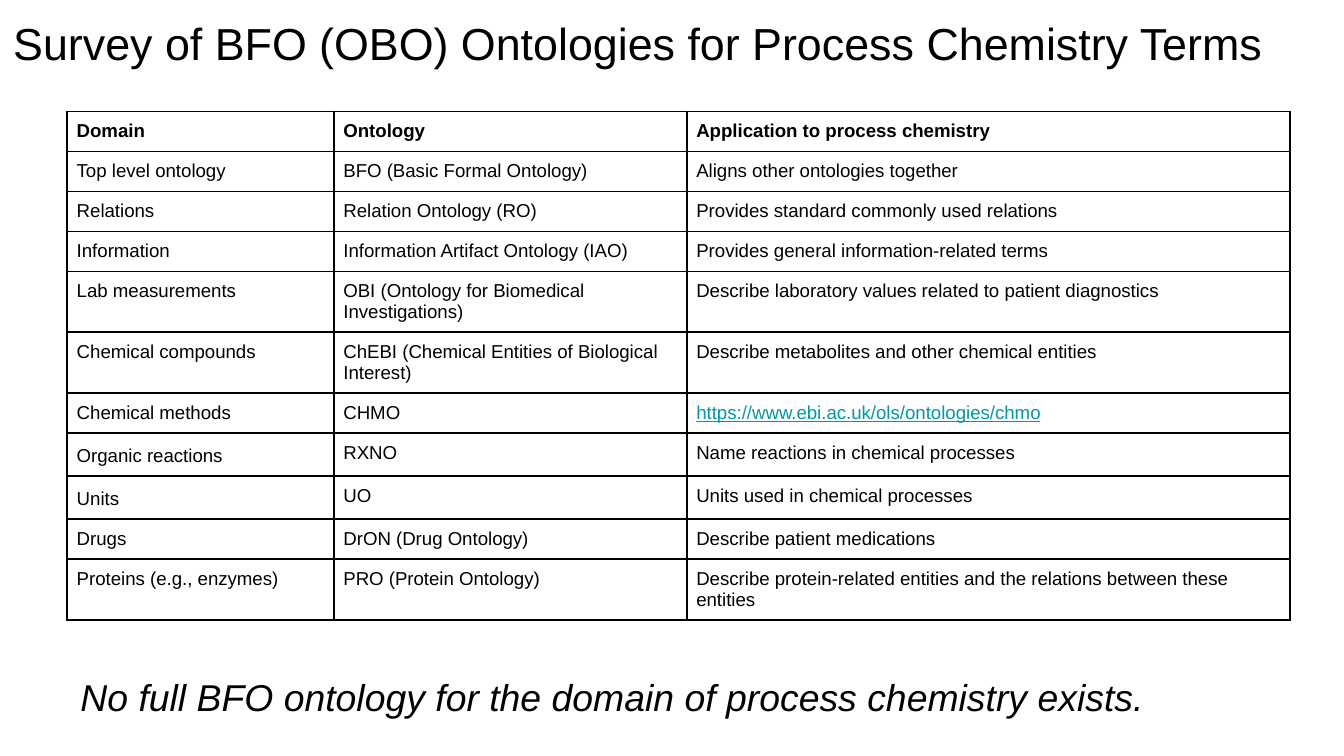
from lxml import etree
from pptx import Presentation
from pptx import util as u
from pptx.dml import color
from pptx.enum import text
from pptx.oxml import ns

COLORS = {"ink": "000000", "paper": "FFFFFF", "link": "0097A7"}
FONT = "Arial"
COLUMN_WIDTHS = (5.04, 6.67, 11.4)
LINE_HEIGHT, LOOSE_HEIGHT, WRAPPED_HEIGHT = 0.75, 0.8, 1.14
HEADER = ("Domain", "Ontology", "Application to process chemistry")
ONTOLOGIES = [
    ("Top level ontology", "BFO (Basic Formal Ontology)", "Aligns other ontologies together"),
    ("Relations", "Relation Ontology (RO)", "Provides standard commonly used relations"),
    ("Information", "Information Artifact Ontology (IAO)", "Provides general information-related terms"),
    ("Lab measurements", "OBI (Ontology for Biomedical Investigations)",
     "Describe laboratory values related to patient diagnostics"),
    ("Chemical compounds", "ChEBI (Chemical Entities of Biological Interest)",
     "Describe metabolites and other chemical entities"),
    ("Chemical methods", "CHMO", "https://www.ebi.ac.uk/ols/ontologies/chmo"),
    ("Organic reactions", "RXNO", "Name reactions in chemical processes"),
    ("Units", "UO", "Units used in chemical processes"),
    ("Drugs", "DrON (Drug Ontology)", "Describe patient medications"),
    ("Proteins (e.g., enzymes)", "PRO (Protein Ontology)",
     "Describe protein-related entities and the relations between these entities"),
]
LOOSE = {"Organic reactions", "Units"}
WRAPPED = {"Lab measurements", "Chemical compounds", "Proteins (e.g., enzymes)"}


def write(frame, words, size=10, ink="ink", bold=False, italic=False, underline=False, spacing=None):
    para = frame.paragraphs[0]
    para.alignment = text.PP_ALIGN.LEFT
    para.line_spacing = spacing
    span = para.add_run()
    span.text = words
    font = span.font
    font.name, font.size = FONT, u.Pt(size)
    font.bold, font.italic, font.underline = bold, italic, underline
    font.color.rgb = color.RGBColor.from_string(COLORS[ink])


def set_frame(frame, anchor):
    frame.word_wrap = True
    frame.auto_size = text.MSO_AUTO_SIZE.NONE
    frame.vertical_anchor = anchor
    frame.margin_left = frame.margin_right = u.Cm(0.25)
    frame.margin_top = frame.margin_bottom = u.Cm(0.25)


def style_cell(cell):
    properties = cell._tc.get_or_add_tcPr()
    for side in ("lnL", "lnR", "lnT", "lnB"):
        border = etree.SubElement(properties, ns.qn("a:" + side), w=str(u.Pt(1)))
        fill = etree.SubElement(border, ns.qn("a:solidFill"))
        etree.SubElement(fill, ns.qn("a:srgbClr"), val=COLORS["ink"])
    cell.fill.solid()
    cell.fill.fore_color.rgb = color.RGBColor.from_string(COLORS["paper"])
    cell.margin_left = cell.margin_right = u.Cm(0.18)
    cell.margin_top = cell.margin_bottom = u.Cm(0.18)
    cell.vertical_anchor = text.MSO_ANCHOR.TOP


def row_height(domain):
    if domain in WRAPPED:
        return WRAPPED_HEIGHT
    return LOOSE_HEIGHT if domain in LOOSE else LINE_HEIGHT


def place_title(page, left, top, width, height):
    title = page.shapes.title
    title.left, title.top = u.Cm(left), u.Cm(top)
    title.width, title.height = u.Cm(width), u.Cm(height)
    set_frame(title.text_frame, text.MSO_ANCHOR.MIDDLE)
    write(title.text_frame, "Survey of BFO (OBO) Ontologies for Process Chemistry Terms", size=24)


def place_survey(page, left, top):
    records = [HEADER] + ONTOLOGIES
    heights = [row_height(record[0]) for record in records]
    table = page.shapes.add_table(len(records), len(HEADER), u.Cm(left), u.Cm(top),
                                  u.Cm(sum(COLUMN_WIDTHS)), u.Cm(sum(heights))).table
    table.first_row = table.horz_banding = False
    for column, width in zip(table.columns, COLUMN_WIDTHS):
        column.width = u.Cm(width)
    for row, height, record in zip(table.rows, heights, records):
        row.height = u.Cm(height)
        for cell, words in zip(row.cells, record):
            style_cell(cell)
            is_link = words.startswith("https:")
            write(cell.text_frame, words, bold=record is HEADER, underline=is_link,
                  ink="link" if is_link else "ink", spacing=1.15 if words in LOOSE else None)


def place_conclusion(page, left, top, width, height):
    box = page.shapes.add_textbox(u.Cm(left), u.Cm(top), u.Cm(width), u.Cm(height))
    set_frame(box.text_frame, text.MSO_ANCHOR.TOP)
    write(box.text_frame, "No full BFO ontology for the domain of process chemistry exists.",
          size=20, italic=True)


deck = Presentation()
deck.slide_width, deck.slide_height = u.Cm(25.4), u.Cm(14.29)
page = deck.slides.add_slide(deck.slide_layouts[5])
place_title(page, 0, 0, 24.74, 1.6)
place_survey(page, 1.27, 2.11)
place_conclusion(page, 1.27, 12.5, 23.14, 1.17)
deck.save("out.pptx")
